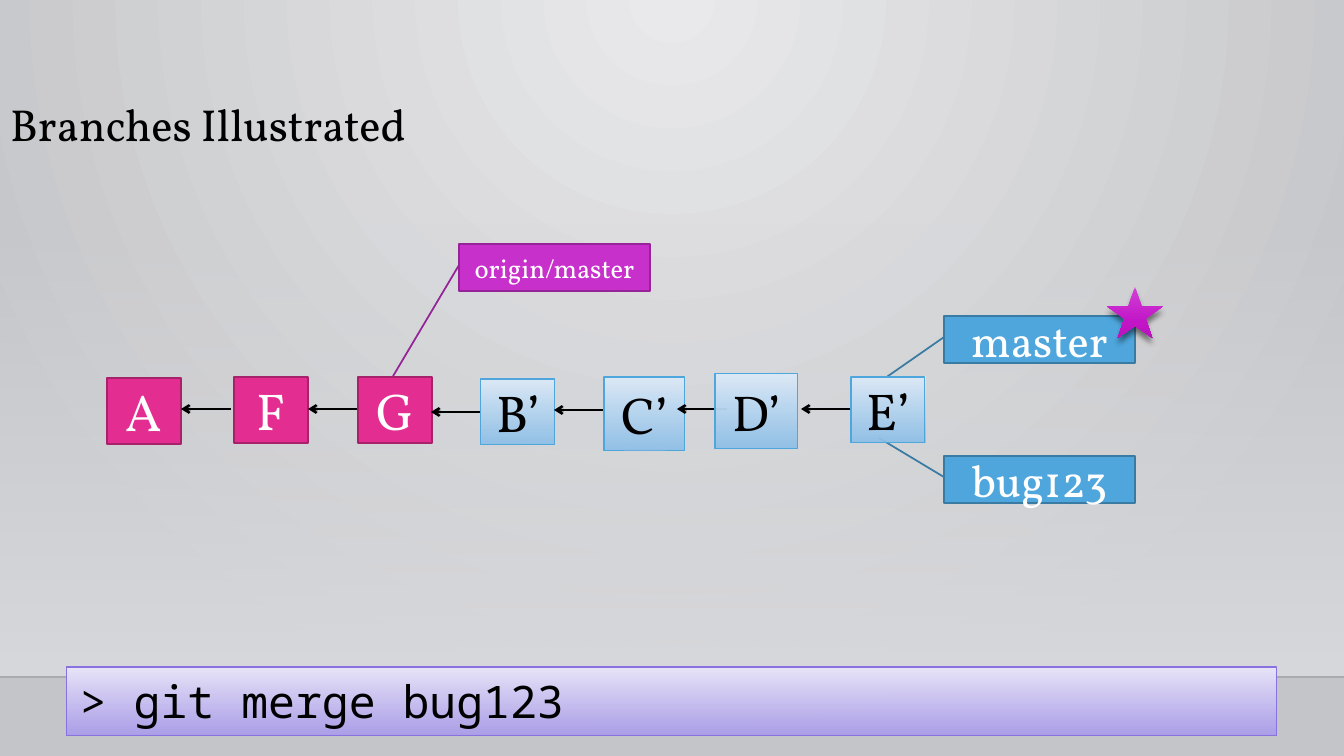
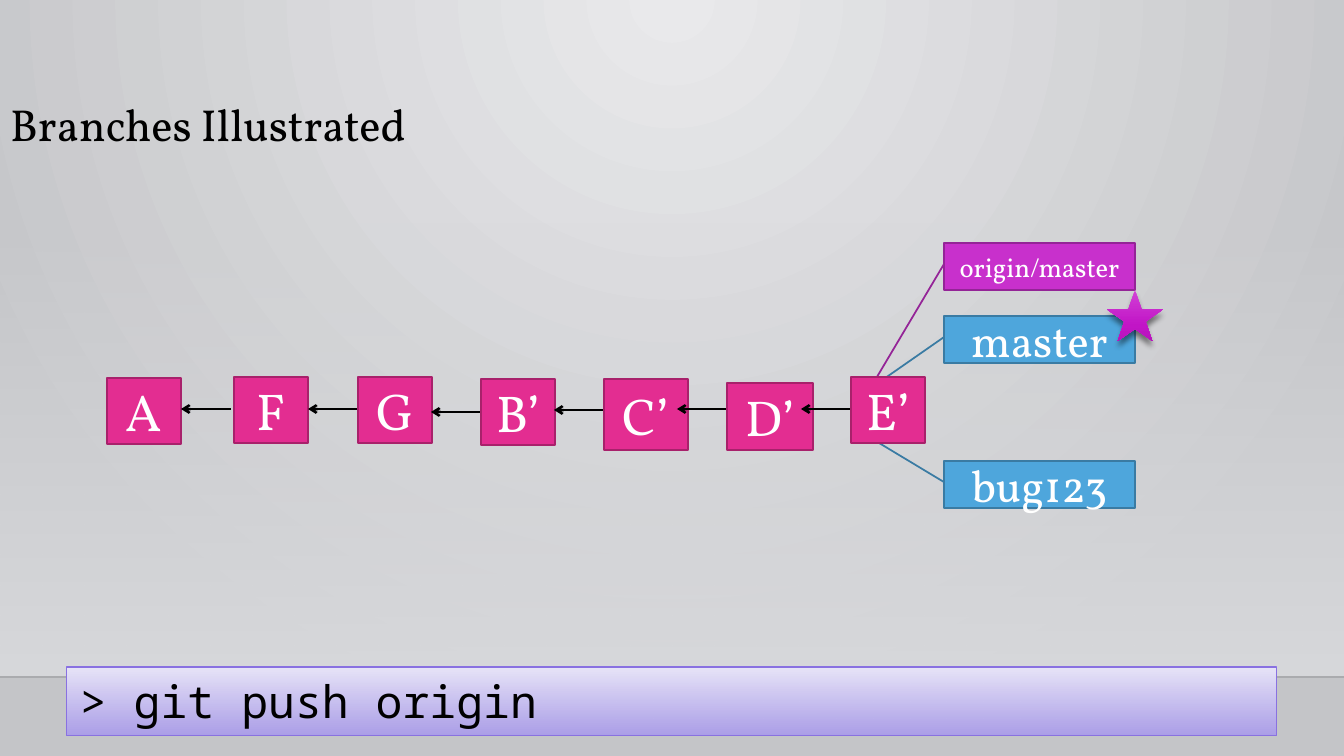
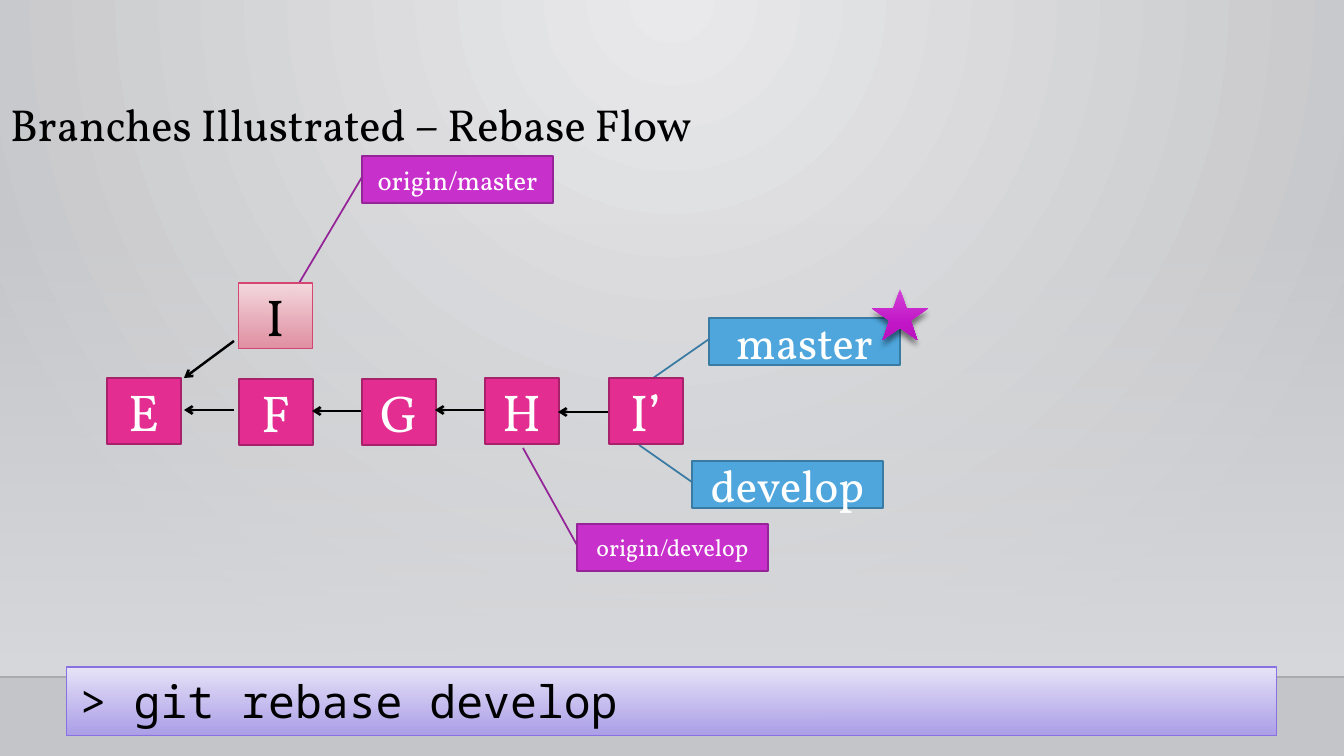
from dataclasses import dataclass

from pptx import Presentation
from pptx.dml.color import RGBColor
from pptx.enum.shapes import MSO_CONNECTOR, MSO_SHAPE
from pptx.enum.text import MSO_ANCHOR, MSO_AUTO_SIZE, PP_ALIGN
from pptx.oxml import parse_xml
from pptx.oxml.ns import nsdecls, qn
from pptx.util import Pt

RECTANGLE = MSO_SHAPE.RECTANGLE
CALLOUT = MSO_SHAPE.LINE_CALLOUT_1
STAR = MSO_SHAPE.STAR_5_POINT
STRAIGHT = MSO_CONNECTOR.STRAIGHT
TOP, MIDDLE, BOTTOM = MSO_ANCHOR.TOP, MSO_ANCHOR.MIDDLE, MSO_ANCHOR.BOTTOM
LEFT, CENTER = PP_ALIGN.LEFT, PP_ALIGN.CENTER
NO_FIT, GROW = MSO_AUTO_SIZE.NONE, MSO_AUTO_SIZE.SHAPE_TO_FIT_TEXT

SLIDE_WIDTH, SLIDE_HEIGHT = 1344, 756
SCALE = 12192000 / SLIDE_WIDTH
TITLE_BOX = (0, 30, 1210, 126)
HAZE_BOX = (0, 222, SLIDE_WIDTH, 454)
FLOOR_Y = 677
COMMAND_BOX = (67, 667, 1210, 69)
CALLOUT_SIZE = (191, 47)
STAR_SIZE = (56, 51)
ARROW_LENGTH = 50

SERIF = "Vollkorn"
MONO = "Noto Sans Mono"

BLACK = RGBColor(0, 0, 0)
WHITE = RGBColor(255, 255, 255)
FLOOR_LINE = RGBColor(0, 0, 1)
BACK_LIGHT = RGBColor(0xE9, 0xE9, 0xEB)
BACK_DARK = RGBColor(0xC4, 0xC5, 0xC8)
HAZE = RGBColor(0xD8, 0xD9, 0xDC)
PINK = RGBColor(0xE3, 0x2D, 0x91)
PINK_LINE = RGBColor(0xA8, 0x21, 0x6B)
BLUE = RGBColor(0x4E, 0xA6, 0xDC)
BLUE_LINE = RGBColor(0x3A, 0x7B, 0xA3)
SKY_LIGHT = RGBColor(0xDD, 0xEA, 0xF7)
SKY_DARK = RGBColor(0x8D, 0xBF, 0xE8)
ROSE_LIGHT = RGBColor(0xF4, 0xDA, 0xDF)
ROSE_DARK = RGBColor(0xE3, 0x8B, 0x9F)
ROSE_LINE = RGBColor(0xD5, 0x47, 0x73)
LILAC_LIGHT = RGBColor(0xE9, 0xE6, 0xF9)
LILAC_DARK = RGBColor(0xAA, 0x9C, 0xEB)
LILAC_LINE = RGBColor(0x89, 0x71, 0xE1)
MAGENTA = RGBColor(0xC8, 0x30, 0xCC)
MAGENTA_LINE = RGBColor(0x94, 0x24, 0x97)
STAR_LIGHT = RGBColor(0xD2, 0x41, 0xD6)
STAR_MID = RGBColor(0xC1, 0x15, 0xC6)
STAR_DARK = RGBColor(0xB7, 0x14, 0xBC)

DOWNWARD = '<a:lin %s ang="5400000" scaled="0"/>' % nsdecls("a")
FROM_TOP = (
    '<a:path %s path="circle"><a:fillToRect l="43000" t="0" r="43000" b="100000"/></a:path>'
    % nsdecls("a")
)


@dataclass
class Look:
    """Fill stops (position, colour, opacity), outline and text colour."""
    stops: tuple
    line: RGBColor = None
    line_width: float = 1.25
    text: RGBColor = WHITE


@dataclass
class Commit:
    """A commit box and the point where the arrow to its parent starts."""
    label: str
    left: int
    top: int
    arrow: tuple = None
    drop: int = 0
    width: int = 74
    height: int = 66
    size: int = 37
    look: Look = None


@dataclass
class Branch:
    """A branch label and the tip of its leader line."""
    label: str
    left: int
    top: int
    tip: tuple
    look: Look
    size: int = 32


def solid(color, line):
    """Return a look with one fill colour."""
    return Look(((0, color, 100),), line)


def fade(light, dark, line):
    """Return a look that fades downward behind black text."""
    return Look(((0, light, 100), (100, dark, 92)), line, 0.75, BLACK)


SHARED = solid(PINK, PINK_LINE)
LOCAL = solid(BLUE, BLUE_LINE)
REMOTE = solid(MAGENTA, MAGENTA_LINE)
REBASED = fade(SKY_LIGHT, SKY_DARK, BLUE_LINE)
REBASED.line = BLUE
REPLACED = fade(ROSE_LIGHT, ROSE_DARK, ROSE_LINE)
COMMAND = fade(LILAC_LIGHT, LILAC_DARK, LILAC_LINE)
HEAD = Look(((0, STAR_LIGHT, 100), (69, STAR_MID, 100), (100, STAR_DARK, 100)))
HAZE_LOOK = Look(((0, HAZE, 0), (100, HAZE, 100)))


def px(*lengths):
    """Turn pixel lengths into EMU."""
    return [round(length * SCALE) for length in lengths]


def set_gradient(gradient, stops, direction=DOWNWARD):
    """Replace the content of a gradient fill."""
    for child in list(gradient):
        gradient.remove(child)
    marks = "".join(
        f'<a:gs pos="{position * 1000}"><a:srgbClr val="{color}">'
        f'<a:alpha val="{opacity * 1000}"/></a:srgbClr></a:gs>'
        for position, color, opacity in stops
    )
    gradient.append(parse_xml(f'<a:gsLst {nsdecls("a")}>{marks}</a:gsLst>'))
    gradient.append(parse_xml(direction))


def add_text(frame, text, font, size, color, align, anchor, fit=NO_FIT):
    """Write one formatted run into a text frame."""
    frame.word_wrap = True
    frame.auto_size = fit
    frame.vertical_anchor = anchor
    paragraph = frame.paragraphs[0]
    paragraph.alignment = align
    run = paragraph.add_run()
    run.text = text
    run.font.name = font
    run.font.size = Pt(size)
    run.font.color.rgb = color
    return paragraph


def add_box(slide, kind, box, look):
    """Add a preset shape with the given look and text margins."""
    shape = slide.shapes.add_shape(kind, *px(*box))
    shape.shadow.inherit = False
    if len(look.stops) == 1:
        shape.fill.solid()
        shape.fill.fore_color.rgb = look.stops[0][1]
    else:
        shape.fill.gradient()
        set_gradient(shape.element.spPr.find(qn("a:gradFill")), look.stops)
    if look.line is None:
        shape.line.fill.background()
    else:
        shape.line.color.rgb = look.line
        shape.line.width = Pt(look.line_width)
    frame = shape.text_frame
    frame.margin_left, frame.margin_right = px(13, 13)
    frame.margin_top, frame.margin_bottom = px(7, 7)
    return shape


def add_line(slide, start, end, color, width):
    """Add a straight line without shadow and return it."""
    line = slide.shapes.add_connector(STRAIGHT, *px(*start, *end))
    line.line.color.rgb = color
    line.line.width = Pt(width)
    line.element.spPr.append(parse_xml(f'<a:effectLst {nsdecls("a")}/>'))
    return line


def add_arrow(slide, start, drop):
    """Add an arrow that points left to the parent commit."""
    end = (start[0] - ARROW_LENGTH, start[1] + drop)
    arrow = add_line(slide, start, end, BLACK, 1.75)
    outline = arrow.element.spPr.find(qn("a:ln"))
    outline.append(parse_xml(f'<a:tailEnd {nsdecls("a")} type="arrow"/>'))


def add_commit(slide, commit):
    """Add the arrow and box of a commit."""
    if commit.arrow:
        add_arrow(slide, commit.arrow, commit.drop)
    look = commit.look or SHARED
    box = (commit.left, commit.top, commit.width, commit.height)
    shape = add_box(slide, RECTANGLE, box, look)
    add_text(shape.text_frame, commit.label, SERIF, commit.size, look.text, CENTER, MIDDLE)


def add_branch(slide, branch):
    """Add a branch label with its leader line."""
    width, height = CALLOUT_SIZE
    shape = add_box(slide, CALLOUT, (branch.left, branch.top, width, height), branch.look)
    tip_x, tip_y = branch.tip
    leader = (0.45, 0, (tip_y - branch.top) / height, (tip_x - branch.left) / width)
    for index, value in enumerate(leader):
        shape.adjustments[index] = value
    add_text(shape.text_frame, branch.label, SERIF, branch.size, WHITE, CENTER, MIDDLE)


def add_star(slide, left, top):
    """Add the star that marks the checked-out branch."""
    star = add_box(slide, STAR, (left, top, *STAR_SIZE), HEAD)
    star.element.spPr.find(qn("a:effectLst")).append(parse_xml(
        f'<a:outerShdw {nsdecls("a")} blurRad="50800" dist="50800" dir="5400000" rotWithShape="0">'
        f'<a:srgbClr val="{BLACK}"><a:alpha val="48000"/></a:srgbClr></a:outerShdw>'
    ))


def add_title(slide, text):
    """Place and fill the title placeholder."""
    title = slide.shapes.title
    title.left, title.top, title.width, title.height = px(*TITLE_BOX)
    paragraph = add_text(title.text_frame, text, SERIF, 32, BLACK, LEFT, BOTTOM)
    paragraph.line_spacing = 0.9


def add_command(slide, text):
    """Add the command bar at the foot of the slide."""
    bar = add_box(slide, RECTANGLE, COMMAND_BOX, COMMAND)
    add_text(bar.text_frame, text, MONO, 32, COMMAND.text, LEFT, TOP, GROW)


def dress_master(master, slide):
    """Give the master its background, haze and floor line."""
    master.background.fill.gradient()
    gradient = master.element.find(f'.//{qn("p:bg")}//{qn("a:gradFill")}')
    set_gradient(gradient, ((0, BACK_LIGHT, 100), (100, BACK_DARK, 100)), FROM_TOP)
    haze = add_box(slide, RECTANGLE, HAZE_BOX, HAZE_LOOK)
    floor = add_line(slide, (0, FLOOR_Y), (SLIDE_WIDTH, FLOOR_Y), FLOOR_LINE, 1)
    color = floor.element.spPr.find(f'.//{qn("a:srgbClr")}')
    color.append(parse_xml(f'<a:alpha {nsdecls("a")} val="20000"/>'))
    for index, shape in enumerate((haze, floor)):
        shape.element.find(f'.//{qn("p:cNvPr")}').set("id", str(20 + index))
        master.shapes.element.insert(2 + index, shape.element)


def fill_slide(slide, title, commits, branches, star, command):
    """Build one branch diagram slide."""
    add_title(slide, title)
    for branch in branches:
        add_branch(slide, branch)
    for commit in commits:
        add_commit(slide, commit)
    add_star(slide, *star)
    add_command(slide, command)


TRUNK = [
    Commit("A", 107, 378),
    Commit("F", 234, 377, (231, 409)),
    Commit("G", 358, 377, (358, 409)),
]
MASTER = Branch("master", 944, 316, (881, 381), LOCAL)
ARROW_B, ARROW_C, ARROW_D, ARROW_E = (481, 412), (604, 410), (727, 409), (851, 409)

DIAGRAMS = [
    (
        "Branches Illustrated",
        TRUNK + [
            Commit("B’", 481, 379, ARROW_B, look=REBASED),
            Commit("C’", 604, 377, ARROW_C, width=81, height=74, look=REBASED),
            Commit("D’", 715, 374, ARROW_D, width=83, height=75, size=36, look=REBASED),
            Commit("E’", 851, 377, ARROW_E, look=REBASED),
        ],
        [
            MASTER,
            Branch("bug123", 944, 456, (879, 438), LOCAL),
            Branch("origin/master", 459, 244, (392, 378), REMOTE, 19),
        ],
        (1107, 287),
        "> git merge bug123",
    ),
    (
        "Branches Illustrated",
        TRUNK + [
            Commit("B’", 481, 379, ARROW_B),
            Commit("C’", 604, 379, ARROW_C, width=84, height=71),
            Commit("D’", 727, 383, ARROW_D, width=86, height=67, size=36),
            Commit("E’", 851, 377, ARROW_E),
        ],
        [
            MASTER,
            Branch("bug123", 944, 461, (879, 443), LOCAL),
            Branch("origin/master", 944, 243, (877, 377), REMOTE, 19),
        ],
        (1107, 290),
        "> git push origin",
    ),
    (
        "Branches Illustrated – Rebase Flow",
        [
            Commit("E", 107, 378),
            Commit("F", 239, 379, (234, 410)),
            Commit("G", 362, 379, (362, 411)),
            Commit("H", 485, 378, (485, 410)),
            Commit("I’", 609, 378, (608, 412)),
            Commit("I", 239, 283, (234, 341), drop=37, look=REPLACED),
        ],
        [
            Branch("origin/master", 362, 156, (295, 290), REMOTE, 19),
            Branch("origin/develop", 577, 524, (523, 448), REMOTE, 17),
            Branch("master", 709, 318, (646, 383), LOCAL),
            Branch("develop", 692, 461, (639, 445), LOCAL),
        ],
        (872, 289),
        "> git rebase develop",
    ),
]


def main():
    """Build and save the presentation."""
    presentation = Presentation()
    presentation.slide_width, presentation.slide_height = px(SLIDE_WIDTH, SLIDE_HEIGHT)
    title_only = presentation.slide_layouts[5]
    slides = [presentation.slides.add_slide(title_only) for _ in DIAGRAMS]
    dress_master(presentation.slide_master, slides[0])
    for slide, diagram in zip(slides, DIAGRAMS):
        fill_slide(slide, *diagram)
    presentation.save("out.pptx")


main()
